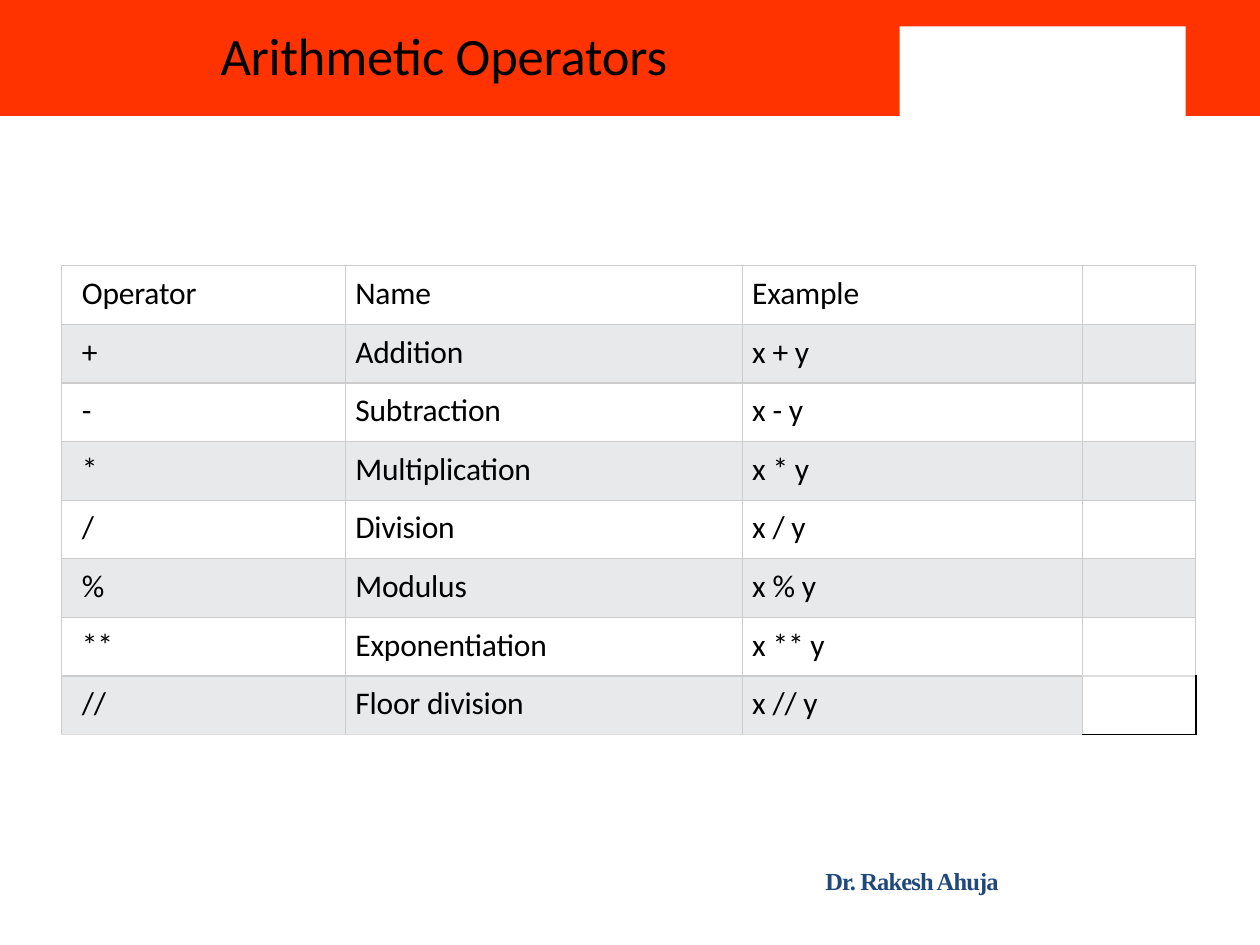
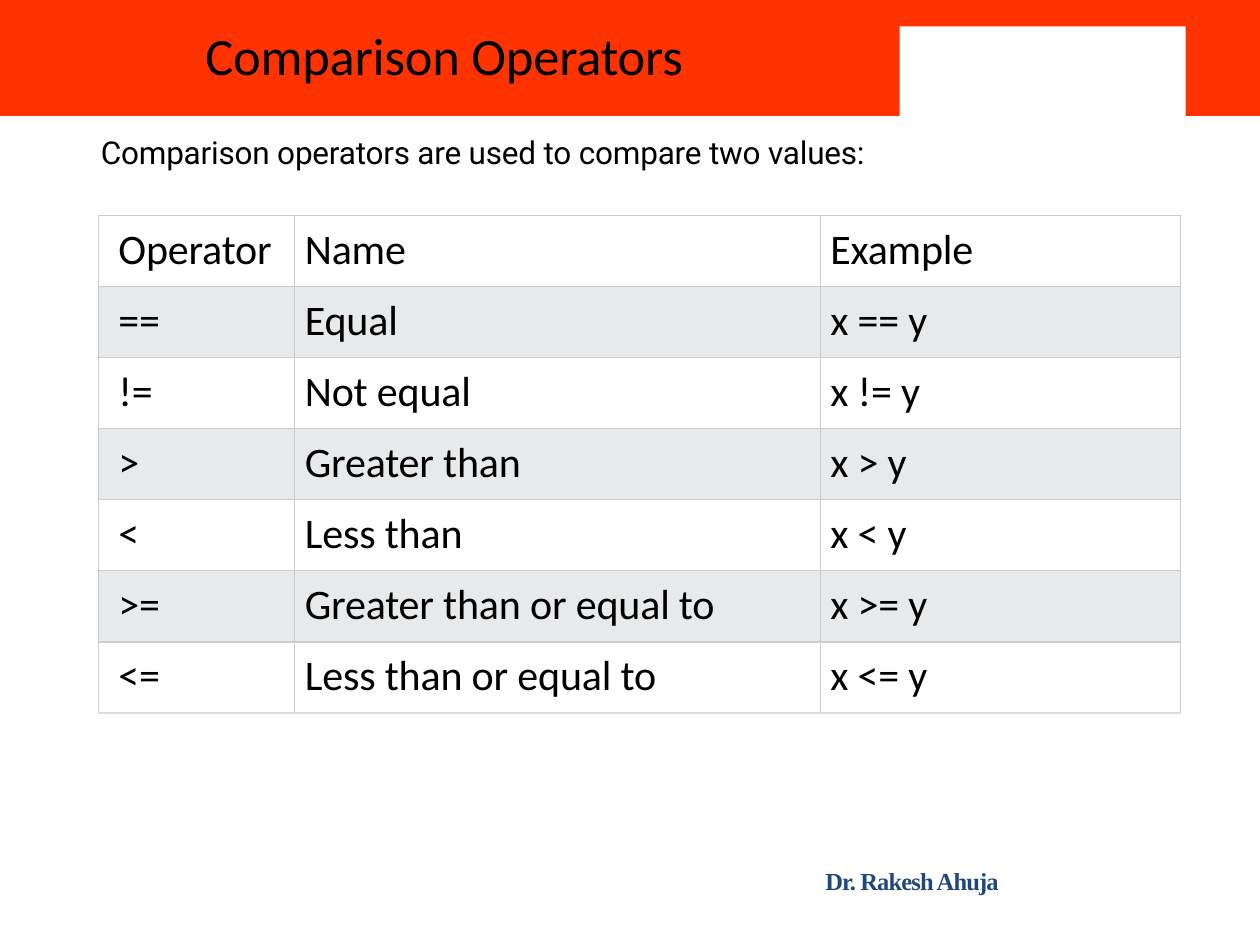
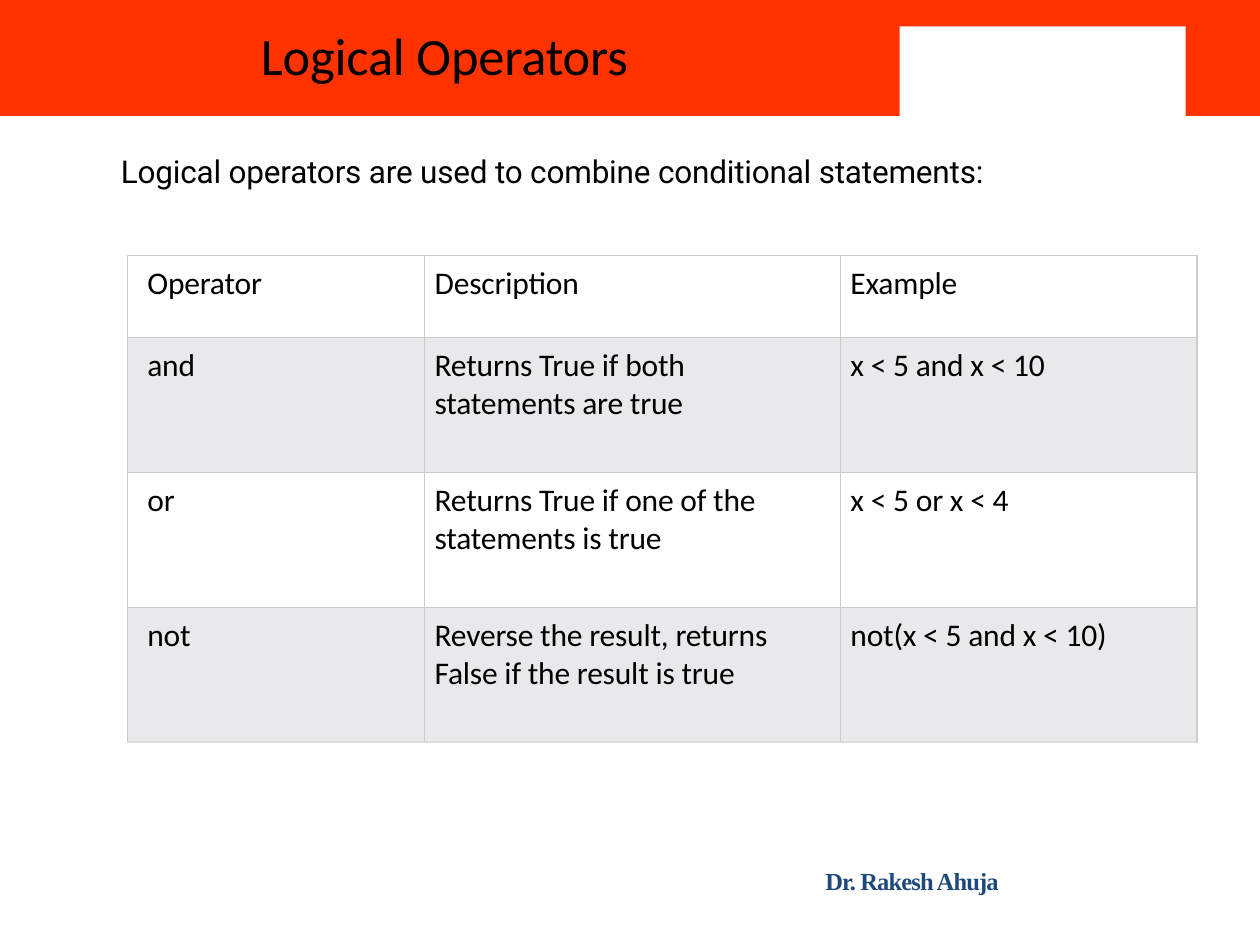
import pptx
import pptx.util
import pptx.dml.color
import pptx.enum.shapes
import pptx.enum.text
import pptx.oxml
import pptx.oxml.ns

Inches = pptx.util.Inches
Pt = pptx.util.Pt
RGBColor = pptx.dml.color.RGBColor

RED = RGBColor(0xFF, 0x33, 0x00)
WHITE = RGBColor(0xFF, 0xFF, 0xFF)
BLACK = RGBColor(0x00, 0x00, 0x00)
NAVY = RGBColor(0x1F, 0x48, 0x7C)
STRIPE = RGBColor(0xE7, 0xE9, 0xEB)
GRID = RGBColor(0xCC, 0xCC, 0xCC)
GRID_END = RGBColor(0xDD, 0xDD, 0xDD)

TITLE = {"name": "Calibri", "size": Pt(30), "bold": False, "color": BLACK}
INTRO = {"name": "Roboto", "size": Pt(18), "bold": False, "color": BLACK}
FOOTER = {"name": "Times New Roman", "size": Pt(14), "bold": True, "color": NAVY}
CELL = {"name": "Calibri", "bold": False, "color": BLACK}

BANDS = [
    (0, 0, 10, 0.92, RED),
    (6.72, 0, 3.28, 0.92, RED),
    (7.14, 0.21, 2.27, 0.75, WHITE),
]

ARITHMETIC = [
    ("Operator", "Name", "Example", ""),
    ("+", "Addition", "x + y", ""),
    ("-", "Subtraction", "x - y", ""),
    ("*", "Multiplication", "x * y", ""),
    ("/", "Division", "x / y", ""),
    ("%", "Modulus", "x % y", ""),
    ("**", "Exponentiation", "x ** y", ""),
    ("//", "Floor division", "x // y", ""),
]
COMPARISON = [
    ("Operator", "Name", "Example"),
    ("==", "Equal", "x == y"),
    ("!=", "Not equal", "x != y"),
    (">", "Greater than", "x > y"),
    ("<", "Less than", "x < y"),
    (">=", "Greater than or equal to", "x >= y"),
    ("<=", "Less than or equal to", "x <= y"),
]
LOGICAL = [
    ("Operator", "Description", "Example"),
    ("and", "Returns True if both\nstatements are true", "x < 5 and x < 10"),
    ("or", "Returns True if one of the\nstatements is true", "x < 5 or x < 4"),
    ("not", "Reverse the result, returns\nFalse if the result is true",
     "not(x < 5 and x < 10)"),
]


def set_values(obj, values):
    for name, value in values.items():
        setattr(obj, name, value)


def set_frame(tf, top):
    set_values(tf, {
        "margin_left": 0, "margin_top": Inches(top),
        "margin_right": 0, "margin_bottom": 0,
        "word_wrap": True,
        "vertical_anchor": pptx.enum.text.MSO_ANCHOR.TOP,
    })


def write(p, text, font, indent=0.01, spacing=-0.1, **layout):
    set_values(p, {"alignment": pptx.enum.text.PP_ALIGN.LEFT, **layout})
    pPr = p._p.get_or_add_pPr()
    pPr.set("marL", str(Inches(indent)))
    pPr.set("indent", "0")
    r = p.add_run()
    r.text = text
    for name, value in font.items():
        if name == "color":
            r.font.color.rgb = value
        else:
            setattr(r.font, name, value)
    r._r.get_or_add_rPr().set("spc", str(round(spacing * 100)))


def add_bands(s):
    tree = s.slide_layout.shapes.element
    for i, (left, top, width, height, color) in enumerate(BANDS):
        sp = s.shapes.add_shape(
            pptx.enum.shapes.MSO_SHAPE.RECTANGLE,
            Inches(left), Inches(top), Inches(width), Inches(height))
        sp.shadow.inherit = False
        sp.fill.solid()
        sp.fill.fore_color.rgb = color
        sp.line.fill.background()
        tree.insert(2 + i, sp.element)


def add_title(s, text, left, width):
    sp = s.shapes.title
    set_values(sp, {"left": Inches(left), "top": Inches(0.17),
                    "width": Inches(width), "height": Inches(0.53)})
    set_frame(sp.text_frame, 0.01)
    sp.text_frame.auto_size = pptx.enum.text.MSO_AUTO_SIZE.SHAPE_TO_FIT_TEXT
    write(sp.text_frame.paragraphs[0], text, TITLE, space_before=Pt(1))


def add_text(s, text, box, font, inset=0, **layout):
    sp = s.shapes.add_textbox(*map(Inches, box))
    set_frame(sp.text_frame, inset)
    sp.text_frame.auto_size = pptx.enum.text.MSO_AUTO_SIZE.SHAPE_TO_FIT_TEXT
    write(sp.text_frame.paragraphs[0], text, font, **layout)


def add_intro(s, text, left, top, width):
    add_text(s, text, (left, top, width, 0.33), INTRO, 0.01, space_before=Pt(1))


def add_footer(s):
    add_text(s, "Dr. Rakesh Ahuja", (6.54, 6.88, 2.04, 0.24), FOOTER,
             spacing=-0.5, line_spacing=Pt(16.4))


def set_borders(cell, **edges):
    tcPr = cell._tc.get_or_add_tcPr()
    for old in tcPr.xpath("a:lnL|a:lnR|a:lnT|a:lnB"):
        tcPr.remove(old)
    for i, side in enumerate("LRTB"):
        color, width = edges.get(side, (GRID, 0.75))
        tcPr.insert(i, pptx.oxml.parse_xml(
            f'<a:ln{side} {pptx.oxml.ns.nsdecls("a")} w="{Pt(width)}">'
            f'<a:solidFill><a:srgbClr val="{color}"/></a:solidFill></a:ln{side}>'))


def fill_cell(cell, text, size, before, indent):
    set_values(cell, {"margin_left": 0, "margin_top": Inches(0.07),
                      "margin_right": 0, "margin_bottom": 0})
    if not text:
        return
    tf = cell.text_frame
    for i, line in enumerate(text.split("\n")):
        p = tf.add_paragraph() if i else tf.paragraphs[0]
        write(p, line, {**CELL, "size": Pt(size)}, indent,
              space_before=Pt(0 if i else before))


def add_operator_table(s, rows, left, top, widths, heights, size, before):
    table = s.shapes.add_table(
        len(rows), len(widths), Inches(left), Inches(top),
        Inches(sum(widths)), Inches(sum(heights))).table
    table.first_row = False
    table.horz_banding = False
    for column, width in zip(table.columns, widths):
        column.width = Inches(width)
    for i, (row, height) in enumerate(zip(rows, heights)):
        table.rows[i].height = Inches(height)
        for j, text in enumerate(row):
            cell = table.cell(i, j)
            fill_cell(cell, text, size, before, 0.08 if j else 0.16)
            if i % 2:
                cell.fill.solid()
                cell.fill.fore_color.rgb = STRIPE
            else:
                cell.fill.background()
            end = {"B": (GRID_END, 0.75)} if i == len(rows) - 1 else {}
            set_borders(cell, **end)
    return table


def mark_open_corner(table):
    row, column = len(table.rows) - 1, len(table.columns) - 1
    corner = table.cell(row, column)
    corner.fill.background()
    set_borders(corner, T=(GRID_END, 0.75), R=(BLACK, 1), B=(BLACK, 1))
    set_borders(table.cell(row - 1, column), B=(GRID_END, 0.75))


def add_slide(prs, title, left, width):
    s = prs.slides.add_slide(prs.slide_layouts[5])
    add_title(s, title, left, width)
    add_footer(s)
    return s


def main():
    prs = pptx.Presentation()
    prs.slide_width = Inches(10)
    prs.slide_height = Inches(7.5)

    s = add_slide(prs, "Arithmetic Operators", 1.74, 3.6)
    add_bands(s)
    table = add_operator_table(s, ARITHMETIC, 0.49, 2.11, [2.25, 3.15, 2.7, 0.9],
                               [3.72 / 8] * 8, 18, 5.1)
    mark_open_corner(table)

    s = add_slide(prs, "Comparison Operators", 1.62, 3.85)
    add_operator_table(s, COMPARISON, 0.78, 1.71, [1.56, 4.17, 2.86],
                       [3.95 / 7] * 7, 24, 4.8)
    add_intro(s, "Comparison operators are used to compare two values:",
              0.79, 1.05, 6.18)

    s = add_slide(prs, "Logical Operators", 2.06, 2.97)
    add_operator_table(s, LOGICAL, 1.01, 2.03, [2.36, 3.3, 2.83],
                       [0.65] + [1.07] * 3, 18, 5.1)
    add_intro(s, "Logical operators are used to combine conditional statements:",
              0.95, 1.2, 6.9)

    prs.save("out.pptx")


main()
